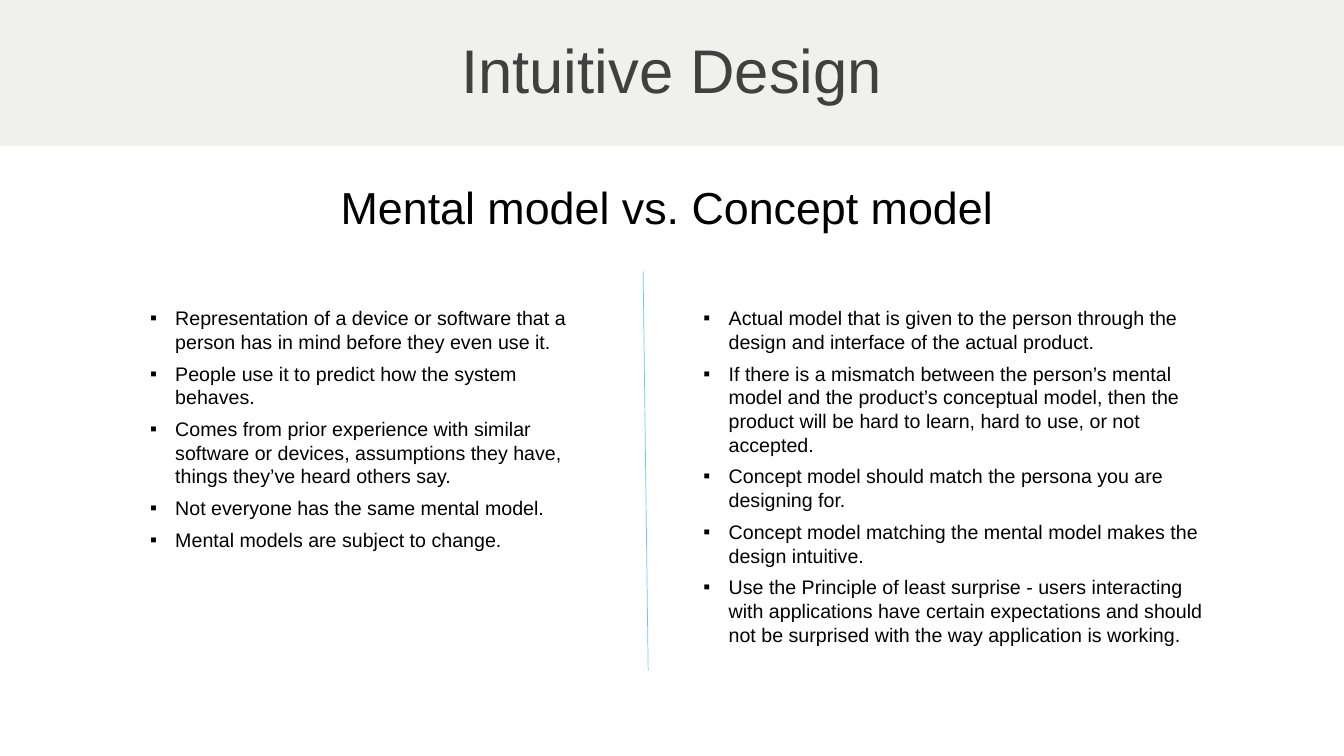
from lxml.etree import SubElement
from pptx import Presentation
from pptx.dml.color import RGBColor
from pptx.enum.shapes import MSO_CONNECTOR
from pptx.enum.text import MSO_ANCHOR, PP_ALIGN
from pptx.oxml.ns import qn
from pptx.util import Pt

TITLE = "Intuitive Design"
SUBTITLE = "Mental model vs. Concept model"
MENTAL_MODEL = [
    "Representation of a device or software that a person has in mind before they even use it.",
    "People use it to predict how the system behaves.",
    "Comes from prior experience with similar software or devices, assumptions they have, "
    "things they’ve heard others say.",
    "Not everyone has the same mental model.",
    "Mental models are subject to change.",
]
CONCEPT_MODEL = [
    "Actual model that is given to the person through the design and interface of the actual product.",
    "If there is a mismatch between the person’s mental model and the product’s conceptual model, "
    "then the product will be hard to learn, hard to use, or not accepted.",
    "Concept model should match the persona you are designing for.",
    "Concept model matching the mental model makes the design intuitive.",
    "Use the Principle of least surprise - users interacting with applications have certain "
    "expectations and should not be surprised with the way application is working.",
]
COLORS = {"band": "F0F1EC", "title": "404040", "text": "000000", "divider": "66CCFF"}
FONT = "Arial"
SLIDE_WIDTH, SLIDE_HEIGHT = 960, 540
COLUMN_TOP = 215.3
COLUMNS = [(MENTAL_MODEL, 100.1, 332.6, 205.2), (CONCEPT_MODEL, 495.4, 375.8, 282.2)]
BULLET, INDENT = "▪", 18


def color(name):
    return RGBColor.from_string(COLORS[name])


def place(shape, left, top, width, height):
    shape.left, shape.top, shape.width, shape.height = map(Pt, (left, top, width, height))


def add_bullet(para):
    properties = para._p.get_or_add_pPr()
    properties.set("marL", str(Pt(INDENT)))
    properties.set("indent", str(Pt(-INDENT)))
    SubElement(properties, qn("a:buFont"), typeface=FONT)
    SubElement(properties, qn("a:buChar"), char=BULLET)


def write(frame, lines, size, ink="text", align=PP_ALIGN.LEFT, spacing=1.0,
          gap=0, anchor=MSO_ANCHOR.TOP, bulleted=False):
    frame.word_wrap = True
    frame.vertical_anchor = anchor
    for number, line in enumerate(lines):
        para = frame.add_paragraph() if number else frame.paragraphs[0]
        para.alignment = align
        para.line_spacing = spacing
        para.space_before = Pt(gap if number else 0)
        if bulleted:
            add_bullet(para)
        span = para.add_run()
        span.text = line
        span.font.name = FONT
        span.font.size = Pt(size)
        span.font.color.rgb = color(ink)


def add_divider(page, start, end):
    line = page.shapes.add_connector(MSO_CONNECTOR.STRAIGHT, *map(Pt, start + end))
    line.line.color.rgb = color("divider")
    line.line.width = Pt(0.5)
    SubElement(line._element.spPr, qn("a:effectLst"))


def main():
    deck = Presentation()
    deck.slide_width, deck.slide_height = Pt(SLIDE_WIDTH), Pt(SLIDE_HEIGHT)
    page = deck.slides.add_slide(deck.slide_layouts[5])

    title = page.shapes.title
    place(title, 0, 0, SLIDE_WIDTH, 104.4)
    title.fill.solid()
    title.fill.fore_color.rgb = color("band")
    write(title.text_frame, [TITLE], 44, ink="title", align=PP_ALIGN.CENTER,
          spacing=0.9, anchor=MSO_ANCHOR.MIDDLE)

    subtitle = page.shapes.add_textbox(Pt(28.1), Pt(117.4), Pt(897.1), Pt(63.4))
    write(subtitle.text_frame, [SUBTITLE], 32, align=PP_ALIGN.CENTER, spacing=1.2)

    for lines, left, width, height in COLUMNS:
        box = page.shapes.add_textbox(Pt(left), Pt(COLUMN_TOP), Pt(width), Pt(height))
        write(box.text_frame, lines, 14, gap=6, bulleted=True)

    add_divider(page, (459.4, 193.7), (463, 478.8))
    deck.save("out.pptx")


if __name__ == "__main__":
    main()
